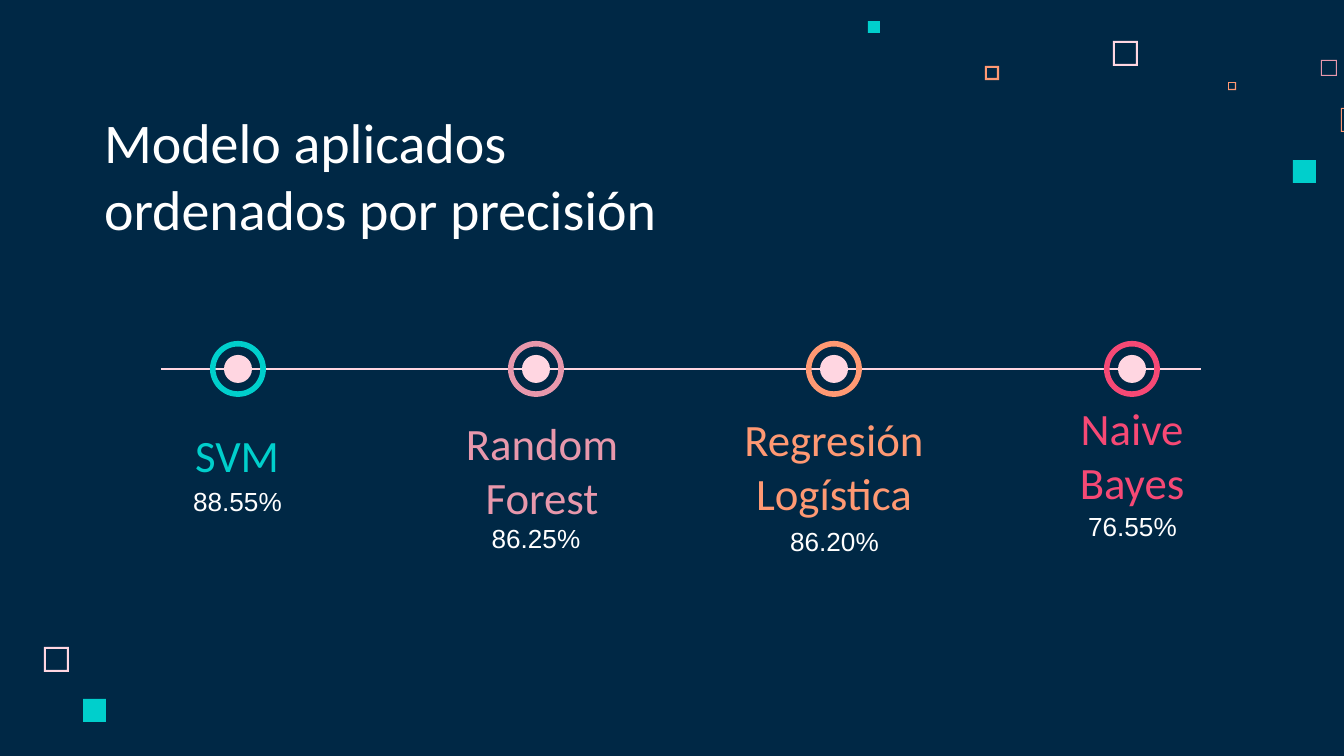
from lxml.etree import SubElement
from pptx import Presentation
from pptx.dml.color import RGBColor
from pptx.enum.shapes import MSO_CONNECTOR, MSO_SHAPE
from pptx.enum.text import MSO_ANCHOR, MSO_AUTO_SIZE, PP_ALIGN
from pptx.oxml.ns import qn
from pptx.util import Pt

SCALE = 914400 / 134.4
COLORS = {
    "navy": "002845", "white": "FFFFFF", "blush": "FFD6E1", "mauve": "E898AC",
    "orange": "FF9973", "teal": "00CFCC", "pink": "F64975",
}
TOP, MID, LOW = MSO_ANCHOR.TOP, MSO_ANCHOR.MIDDLE, MSO_ANCHOR.BOTTOM

# left, top, side, border, colour
FRAMES = [
    (1113, 41, 25, 2, "blush"), (1321, 60, 16, 1, "mauve"),
    (1228, 82, 8, 1, "orange"), (1341, 108, 24, 1, "orange"),
    (985, 66, 14, 2, "orange"), (44, 647, 25, 2, "blush"),
]
# left, top, side
BLOCKS = [(1293, 160, 23), (868, 21, 12), (83, 699, 23)]
# name, colour, name box, score, score box, score anchor
MODELS = [
    ("SVM", "teal", (142, 423, 190, 63), "88.55%", (99, 434, 277, 96), LOW),
    ("Random Forest", "mauve", (447, 422, 190, 95), "86.25%", (381, 509, 310, 96), TOP),
    ("Regresión Logística", "orange", (723, 434, 222, 63), "86.20%", (774, 512, 121, 96), TOP),
    ("Naive Bayes", "pink", (1037, 423, 190, 63), "76.55%", (1072, 497, 121, 96), TOP),
]
AXIS, FIRST, STEP = 369, 238, 298
RING, DOT = 56, 28


def px(n):
    return round(n * SCALE)


def color(name):
    return RGBColor.from_string(COLORS[name])


class Deck:
    """Holds the style and the current slide."""

    def __init__(self):
        self.file = Presentation()
        self.file.slide_width, self.file.slide_height = px(1344), px(756)
        self.slide = self.file.slides.add_slide(self.file.slide_layouts[5])
        self.shapes = self.slide.shapes
        back = self.slide.background.fill
        back.solid()
        back.fore_color.rgb = color("navy")

    def paint(self, shape, fill):
        shape.shadow.inherit = False
        shape.fill.solid()
        shape.fill.fore_color.rgb = color(fill)
        shape.line.fill.background()

    def block(self, x, y, side, fill):
        box = self.shapes.add_shape(MSO_SHAPE.RECTANGLE, *map(px, (x, y, side, side)))
        self.paint(box, fill)

    def frame(self, x, y, side, edge, fill):
        """Draw a hollow square as an outer and an inner outline."""
        a, b, c, d = x, y, x + side, y + side
        pen = self.shapes.build_freeform(a, b, scale=SCALE)
        pen.add_line_segments([(a, d), (c, d), (c, b)], close=True)
        a, b, c, d = a + edge, b + edge, c - edge, d - edge
        pen.move_to(a, b)
        pen.add_line_segments([(c, b), (c, d), (a, d)], close=True)
        self.paint(pen.convert_to_shape(), fill)

    def line(self, x1, x2, y):
        rule = self.shapes.add_connector(
            MSO_CONNECTOR.STRAIGHT, px(x1), px(y), px(x2), px(y))
        rule.line.color.rgb = color("blush")
        rule.line.width = Pt(1.5)
        SubElement(rule._element.spPr, qn("a:effectLst"))

    def marker(self, x, y, fill):
        """Draw a dot inside a ring, centred on x, y."""
        group = self.shapes.add_group_shape()
        for kind, size, tint in ((MSO_SHAPE.OVAL, DOT, "blush"), (MSO_SHAPE.DONUT, RING, fill)):
            part = group.shapes.add_shape(
                kind, px(x - size / 2), px(y - size / 2), px(size), px(size))
            if kind == MSO_SHAPE.DONUT:
                part.adjustments[0] = 0.1
            self.paint(part, tint)

    def text(self, shape, words, size, font, tint, align, anchor):
        frame = shape.text_frame
        frame.word_wrap = True
        frame.auto_size = MSO_AUTO_SIZE.NONE
        frame.vertical_anchor = anchor
        frame.margin_left = frame.margin_right = px(13)
        frame.margin_top = frame.margin_bottom = px(13)
        para = frame.paragraphs[0]
        para.alignment = align
        run = para.add_run()
        run.text = words
        run.font.size = Pt(size)
        run.font.name = font
        run.font.color.rgb = color(tint)

    def title(self, box, words):
        head = self.shapes.title
        head.left, head.top, head.width, head.height = map(px, box)
        self.text(head, words, 30, "Calibri", "white", PP_ALIGN.LEFT, LOW)

    def label(self, box, words, size, font, tint, anchor):
        area = self.shapes.add_textbox(*map(px, box))
        self.text(area, words, size, font, tint, PP_ALIGN.CENTER, anchor)


def main():
    deck = Deck()
    for item in FRAMES:
        deck.frame(*item)
    for item in BLOCKS:
        deck.block(*item, "teal")
    deck.title((91, 60, 607, 195), "Modelo aplicados ordenados por precisión")
    deck.line(161, 1201, AXIS)
    for i, (name, tint, spot, score, area, anchor) in enumerate(MODELS):
        deck.marker(FIRST + i * STEP, AXIS, tint)
        deck.label(spot, name, 24, "Calibri", tint, MID)
        deck.label(area, score, 14, "Arial", "white", anchor)
    deck.file.save("out.pptx")


if __name__ == "__main__":
    main()
